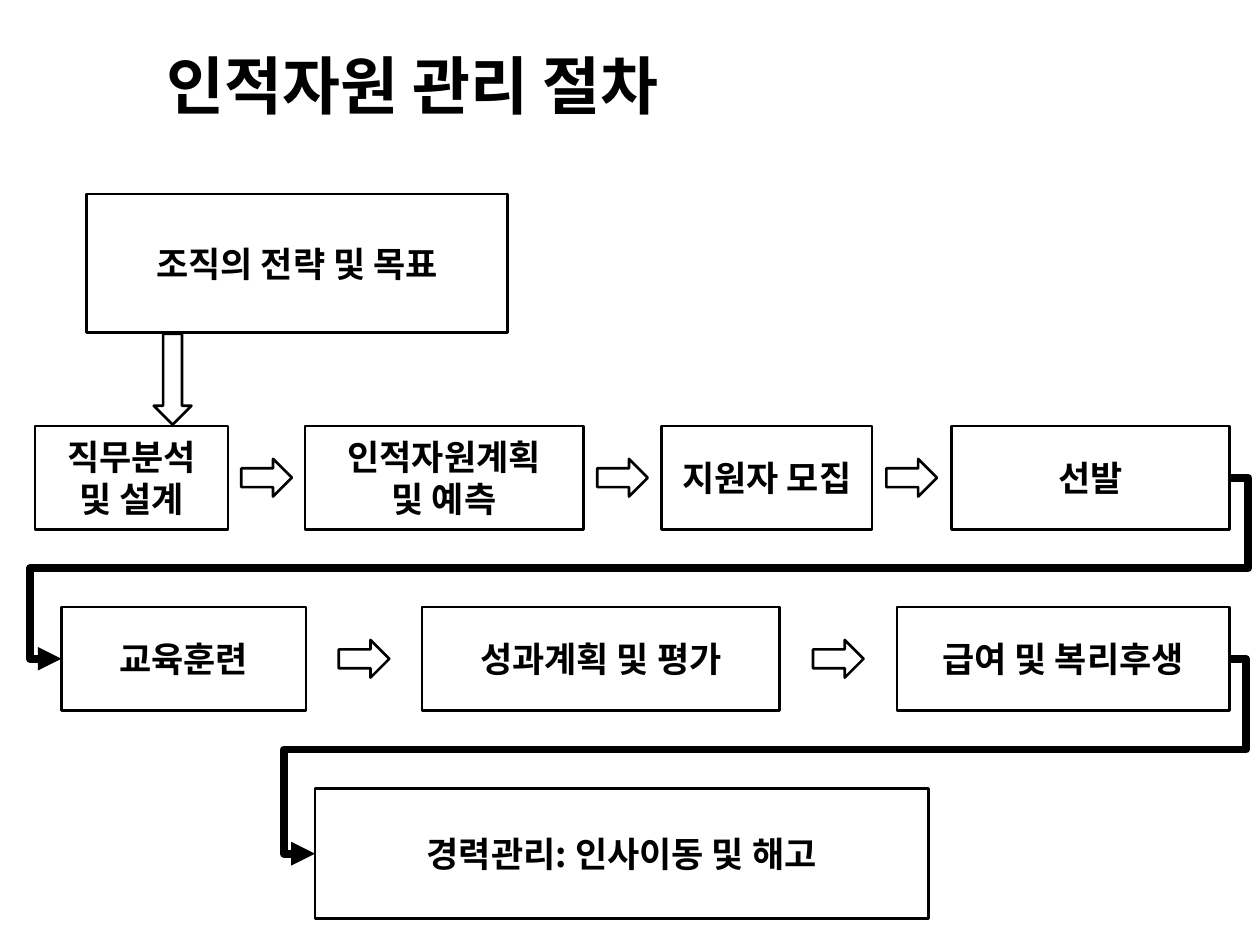
from lxml.etree import SubElement
from pptx import Presentation
from pptx.dml.color import RGBColor
from pptx.enum.shapes import MSO_CONNECTOR, MSO_SHAPE
from pptx.enum.text import MSO_ANCHOR, MSO_AUTO_SIZE, PP_ALIGN
from pptx.oxml.ns import qn
from pptx.util import Cm, Pt

FONT = "Noto Sans CJK KR"
COLORS = {"ink": "000000", "paper": "FFFFFF"}
ROW_HEIGHT = 2.08
ARROW_WIDTH, ARROW_LENGTH = 0.76, 1.02

# Each row: top, then (left, width, label) of its steps, in cm
ROWS = [
    (8.59, [(0.71, 3.89, "직무분석\n및 설계"), (6.15, 5.61, "인적자원계획\n및 예측"),
            (13.34, 4.24, "지원자 모집"), (19.18, 5.61, "선발")]),
    (12.24, [(1.24, 4.93, "교육훈련"), (8.51, 7.21, "성과계획 및 평가"),
             (18.08, 6.71, "급여 및 복리후생")]),
]


def color(name):
    return RGBColor.from_string(COLORS[name])


def write_text(frame, text, size=20, align=PP_ALIGN.CENTER, anchor=MSO_ANCHOR.MIDDLE):
    frame.word_wrap = True
    frame.vertical_anchor = anchor
    para = frame.paragraphs[0]
    para.alignment = align
    for index, line in enumerate(text.split("\n")):
        if index:
            para.add_line_break()
        span = para.add_run()
        span.text = line
        span.font.size = Pt(size)
        span.font.bold = True
        span.font.name = FONT
        span.font.color.rgb = color("ink")
        SubElement(span.font._element, qn("a:ea"), typeface=FONT)


def add_outlined(page, kind, left, top, width, height):
    shape = page.shapes.add_shape(kind, Cm(left), Cm(top), Cm(width), Cm(height))
    shape.shadow.inherit = False
    shape.fill.solid()
    shape.fill.fore_color.rgb = color("paper")
    shape.line.color.rgb = color("ink")
    shape.line.width = Pt(1.5)
    return shape


def add_step(page, left, top, width, height, text):
    box = add_outlined(page, MSO_SHAPE.RECTANGLE, left, top, width, height)
    write_text(box.text_frame, text)
    return box


def add_arrow(page, left, top, length, rotation=0):
    arrow = add_outlined(page, MSO_SHAPE.DOWN_ARROW, left, top, ARROW_WIDTH, length)
    arrow.rotation = rotation


def add_row(page, top, steps):
    """Draw a row of steps with an arrow centred in each gap."""
    boxes = [add_step(page, left, top, width, ROW_HEIGHT, text)
             for left, width, text in steps]
    arrow_top = top + (ROW_HEIGHT - ARROW_LENGTH) / 2
    for (left, width, _), (next_left, _, _) in zip(steps, steps[1:]):
        middle = (left + width + next_left) / 2
        add_arrow(page, middle - ARROW_WIDTH / 2, arrow_top, ARROW_LENGTH, rotation=270)
    return boxes


def add_return_line(page, start, end, bends):
    """Lead from the right side of one box back to the left side of another."""
    line = page.shapes.add_connector(MSO_CONNECTOR.ELBOW, 0, 0, 0, 0)
    line.begin_connect(start, 3)
    line.end_connect(end, 1)
    line.line.color.rgb = color("ink")
    line.line.width = Pt(4.5)
    properties = line._element.spPr
    geometry = properties.find(qn("a:prstGeom"))
    geometry.set("prst", "bentConnector5")
    guides = geometry.find(qn("a:avLst"))
    for number, value in enumerate(bends, 1):
        SubElement(guides, qn("a:gd"), name=f"adj{number}", fmla=f"val {value}")
    SubElement(properties.find(qn("a:ln")), qn("a:tailEnd"), type="triangle")
    SubElement(properties, qn("a:effectLst"))


def main():
    deck = Presentation()
    deck.slide_width, deck.slide_height = Cm(25.4), Cm(19.05)
    page = deck.slides.add_slide(deck.slide_layouts[6])

    # Title
    title = page.shapes.add_textbox(Cm(3.1), Cm(0.81), Cm(12.14), Cm(1.8))
    write_text(title.text_frame, "인적자원 관리 절차", size=36,
               align=PP_ALIGN.LEFT, anchor=MSO_ANCHOR.TOP)
    title.text_frame.auto_size = MSO_AUTO_SIZE.SHAPE_TO_FIT_TEXT

    # Strategy leading down into the process
    add_step(page, 1.75, 3.91, 8.48, 2.79, "조직의 전략 및 목표")
    add_arrow(page, 3.1, 6.73, 1.83)

    # Process rows and the closing step
    hiring, growth = [add_row(page, top, steps) for top, steps in ROWS]
    career = add_step(page, 6.35, 15.9, 12.37, 2.62, "경력관리: 인사이동 및 해고")

    # Lines to the next row
    add_return_line(page, hiring[-1], growth[0], (-1600, 50000, 102700))
    add_return_line(page, growth[-1], career, (-1800, 46600, 103400))

    deck.save("out.pptx")


if __name__ == "__main__":
    main()
